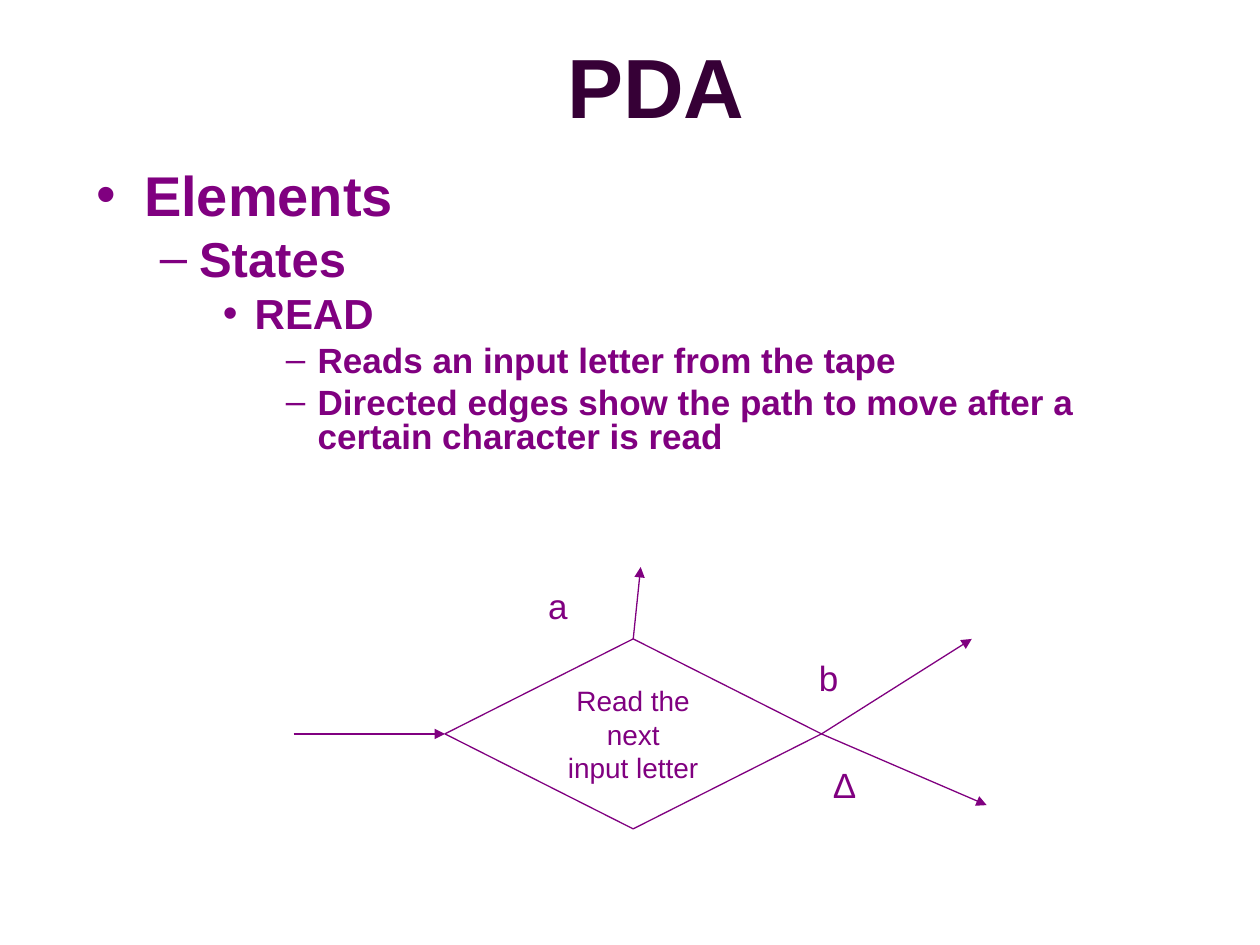
from lxml import etree
from pptx import Presentation
from pptx.dml.color import RGBColor
from pptx.enum.shapes import MSO_CONNECTOR, MSO_SHAPE
from pptx.enum.text import MSO_ANCHOR, MSO_AUTO_SIZE, PP_ALIGN
from pptx.oxml.ns import qn
from pptx.util import Cm, Pt

STRAIGHT = MSO_CONNECTOR.STRAIGHT
DIAMOND = MSO_SHAPE.DIAMOND
TOP, MIDDLE = MSO_ANCHOR.TOP, MSO_ANCHOR.MIDDLE
CENTER = PP_ALIGN.CENTER
NO_FIT = MSO_AUTO_SIZE.NONE
FONT = "Arial"
PURPLE, DARK = "800080", "360036"

# Per list level: bullet, text left, hanging width (cm), size, space before (pt)
LEVELS = [
    ("•", 0.95, 0.95, 32, 8),
    ("–", 2.06, 0.79, 28, 7),
    ("•", 3.18, 0.64, 24, 6),
    ("–", 4.45, 0.64, 20, 5),
]
ITEMS = [
    (0, "Elements"),
    (1, "States"),
    (2, "READ"),
    (3, "Reads an input letter from the tape"),
    (3, "Directed edges show the path to move after a certain character is read"),
]


def rgb(color):
    return RGBColor.from_string(color)


def add_run(p, text, size, color=PURPLE, bold=False):
    r = p.add_run()
    r.text = text
    for name, value in {"name": FONT, "size": Pt(size), "bold": bold}.items():
        setattr(r.font, name, value)
    r.font.color.rgb = rgb(color)


def place(sp, box):
    sp.left, sp.top, sp.width, sp.height = (Cm(v) for v in box)


def format_frame(tf, **values):
    for name, value in values.items():
        setattr(tf, name, value)


def add_bullet(p, char, left, hanging):
    pPr = p._p.get_or_add_pPr()
    pPr.set("marL", str(Cm(left)))
    pPr.set("indent", str(-Cm(hanging)))
    color = etree.SubElement(pPr, qn("a:buClr"))
    etree.SubElement(color, qn("a:srgbClr")).set("val", PURPLE)
    etree.SubElement(pPr, qn("a:buFont")).set("typeface", FONT)
    etree.SubElement(pPr, qn("a:buChar")).set("char", char)


def fill_title(sp, box, text):
    place(sp, box)
    format_frame(sp.text_frame, vertical_anchor=MIDDLE, auto_size=NO_FIT)
    p = sp.text_frame.paragraphs[0]
    p.alignment = CENTER
    add_run(p, text, 48, DARK, bold=True)


def fill_list(sp, box, items):
    place(sp, box)
    tf = sp.text_frame
    format_frame(tf, vertical_anchor=TOP, auto_size=NO_FIT, word_wrap=True)
    for i, (level, text) in enumerate(items):
        p = tf.add_paragraph() if i else tf.paragraphs[0]
        char, left, hanging, size, before = LEVELS[level]
        p.level = level
        add_bullet(p, char, left, hanging)
        p.line_spacing = 0.8
        p.space_before = Pt(before if i else 0)
        add_run(p, text, size, bold=True)


def add_arrow(shapes, start, end):
    s = shapes.add_connector(STRAIGHT, *(Cm(v) for v in (*start, *end)))
    s.line.color.rgb = rgb(PURPLE)
    s.line.width = Pt(0.75)
    etree.SubElement(s.line._get_or_add_ln(), qn("a:tailEnd")).set("type", "triangle")
    etree.SubElement(s._element.spPr, qn("a:effectLst"))


def add_label(shapes, x, y, text):
    s = shapes.add_textbox(Cm(x), Cm(y), Cm(1.22), Cm(1.12))
    s.text_frame.word_wrap = True
    add_run(s.text_frame.paragraphs[0], text, 20)


def draw_read_state(slide, box):
    x, y, w, h = box
    shapes = slide.shapes.add_group_shape().shapes

    # Diamond, reaching down to the bottom of the box
    left, top, width = x + 3.05, y + 1.45, 7.59
    height = y + h - top
    right, center, middle = left + width, left + width / 2, top + height / 2
    s = shapes.add_shape(DIAMOND, Cm(left), Cm(top), Cm(width), Cm(height))
    s.shadow.inherit = False
    s.fill.background()
    s.line.color.rgb = rgb(PURPLE)
    s.line.width = Pt(0.75)
    tf = s.text_frame
    format_frame(tf, word_wrap=False, vertical_anchor=MIDDLE)
    for i, text in enumerate(["Read the", "next", "input letter"]):
        p = tf.add_paragraph() if i else tf.paragraphs[0]
        p.alignment = CENTER
        add_run(p, text, 16)

    # Edges: one in, three out
    for start, end in [
        ((x, middle), (left, middle)),
        ((center, top), (center + 0.15, y)),
        ((right, middle), (x + w - 0.3, top)),
        ((right, middle), (x + w, y + 4.8)),
    ]:
        add_arrow(shapes, start, end)

    # Letters on the outgoing edges
    for dx, dy, text in [(4.88, 0.23, "a"), (10.34, 1.68, "b"), (10.64, 3.84, "∆")]:
        add_label(shapes, x + dx, y + dy, text)


def main():
    prs = Presentation()
    prs.slide_width, prs.slide_height = Cm(25.4), Cm(19.05)
    slide = prs.slides.add_slide(prs.slide_layouts[1])
    fill_title(slide.shapes.title, (2.97, 0.2, 20.5, 3.02), "PDA")
    fill_list(slide.placeholders[1], (1.7, 3.38, 22.43, 6.22), ITEMS)
    draw_read_state(slide, (5.92, 11.43, 13.97, 5.28))
    prs.save("out.pptx")


if __name__ == "__main__":
    main()
